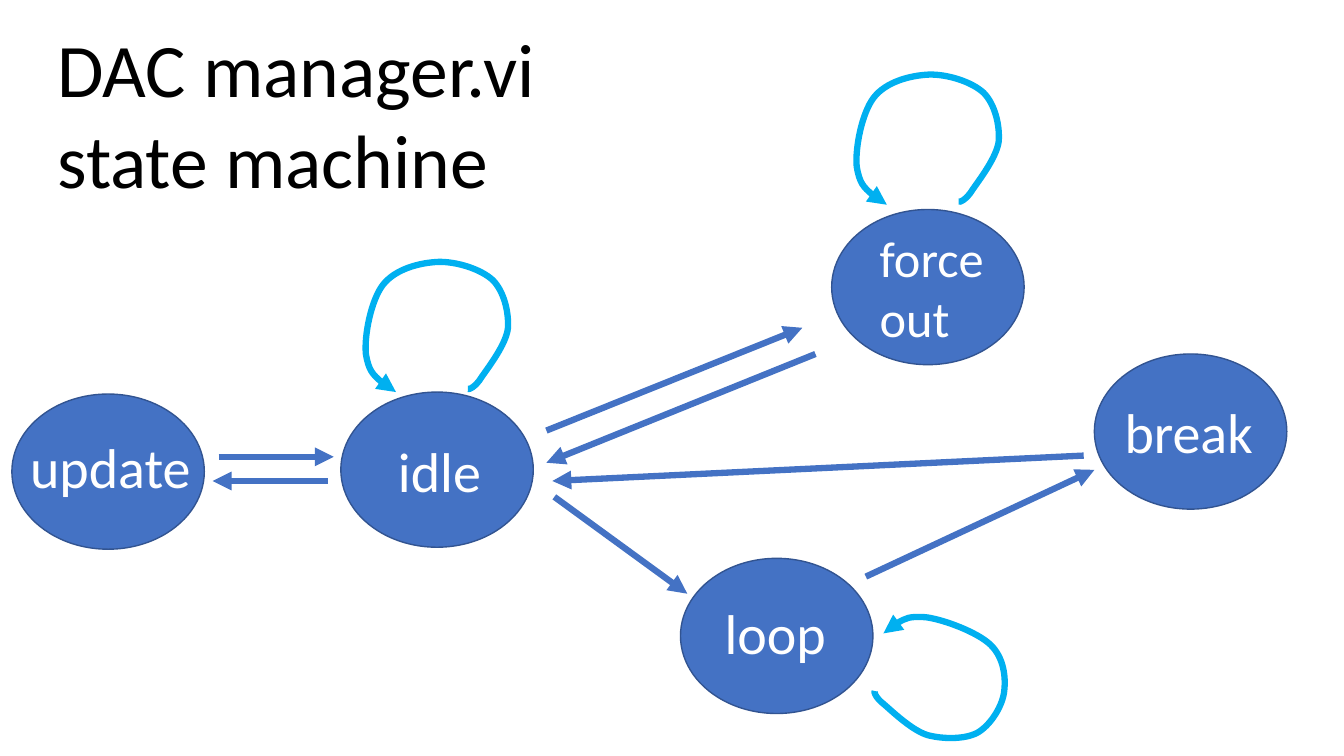
from lxml import etree
from pptx import Presentation
from pptx.dml.color import RGBColor
from pptx.enum.shapes import MSO_CONNECTOR, MSO_SHAPE
from pptx.enum.text import MSO_ANCHOR, MSO_AUTO_SIZE, PP_ALIGN
from pptx.oxml.ns import qn
from pptx.util import Cm, Pt

OVAL = MSO_SHAPE.OVAL
STRAIGHT = MSO_CONNECTOR.STRAIGHT
LEFT, TOP = PP_ALIGN.LEFT, MSO_ANCHOR.TOP
NO_FIT, GROW = MSO_AUTO_SIZE.NONE, MSO_AUTO_SIZE.SHAPE_TO_FIT_TEXT
BLUE, OUTLINE, CYAN = "4472C4", "325491", "00B0F0"


def style_text(tf, size, color):
    for p in tf.paragraphs:
        p.alignment = LEFT
        for r in p.runs:
            r.font.size = Pt(size)
            r.font.name = "Calibri"
            r.font.color.rgb = RGBColor.from_string(color)


def style_arrow(s, color):
    s.line.color.rgb = RGBColor.from_string(color)
    s.line.width = Pt(4.5)
    ln = s.line._get_or_add_ln()
    etree.SubElement(ln, qn("a:tailEnd"), type="triangle")


prs = Presentation()
prs.slide_width, prs.slide_height = Cm(33.87), Cm(19.05)
slide = prs.slides.add_slide(prs.slide_layouts[5])

# Title
title = slide.shapes.title
title.left, title.top = Cm(1.19), Cm(0.43)
title.width, title.height = Cm(30.61), Cm(4.88)
tf = title.text_frame
tf.text = "DAC manager.vi\nstate machine"
tf.auto_size = NO_FIT
tf.vertical_anchor = TOP
style_text(tf, 54, "000000")

# States: name, oval left and top, label left, top, width, height, text size
states = [
    ("idle", 8.59, 9.88, 9.78, 10.87, 3.38, 1.96, 40),
    ("force out", 20.96, 5.28, 21.92, 5.59, 4.8, 3.33, 36),
    ("loop", 17.15, 14.07, 18.01, 14.96, 3.38, 1.96, 40),
    ("break", 27.58, 8.92, 28.09, 9.88, 3.89, 1.96, 40),
    ("update", 0.3, 9.93, 0.51, 10.77, 4.85, 1.96, 40),
]
for name, x, y, label_x, label_y, width, height, size in states:
    s = slide.shapes.add_shape(OVAL, Cm(x), Cm(y), Cm(4.85), Cm(3.91))
    s.shadow.inherit = False
    s.fill.solid()
    s.fill.fore_color.rgb = RGBColor.from_string(BLUE)
    s.line.color.rgb = RGBColor.from_string(OUTLINE)
    s.line.width = Pt(1)
    label = slide.shapes.add_textbox(
        Cm(label_x), Cm(label_y), Cm(width), Cm(height))
    tf = label.text_frame
    tf.text = name
    tf.word_wrap = True
    tf.auto_size = GROW
    style_text(tf, size, "FFFFFF")

# Transitions between states: x1, y1, x2, y2
transitions = [
    (13.77, 10.85, 20.22, 8.26),   # idle to force out
    (20.55, 8.92, 13.77, 11.66),   # force out to idle
    (13.97, 12.52, 17.32, 14.96),  # idle to loop
    (21.82, 14.53, 27.58, 11.84),  # loop to break
    (27.31, 11.48, 13.92, 12.12),  # break to idle
    (5.51, 11.51, 8.41, 11.51),    # update to idle
    (8.26, 12.12, 5.36, 12.12),    # idle to update
]
for ends in transitions:
    s = slide.shapes.add_connector(STRAIGHT, *[Cm(v) for v in ends])
    style_arrow(s, BLUE)
    etree.SubElement(s._element.spPr, qn("a:effectLst"))

# Self-loop outline in hundredths of a cm: start, then Bezier curves
loop_start = (257, 320)
loop_curves = [
    ((259, 323), (277, 315), (292, 290)),
    ((310, 264), (353, 208), (358, 168)),
    ((361, 127), (348, 74), (320, 46)),
    ((290, 18), (229, -1), (183, 0)),
    ((135, 2), (74, 18), (43, 58)),
    ((13, 97), (-4, 185), (0, 231)),
    ((7, 274), (30, 302), (76, 328)),
]

# Self-loops: left, top, width, rotation
self_loops = [
    (9.22, 6.6, 3.58, 0),          # idle
    (21.59, 1.88, 3.58, 0),        # force out
    (22.25, 15.47, 2.9, 101.7),    # loop
]
for x, y, width, angle in self_loops:
    builder = slide.shapes.build_freeform(*loop_start, scale=Cm(0.01))
    builder.add_line_segments([c[-1] for c in loop_curves], close=False)
    s = builder.convert_to_shape()
    # Turn each straight segment into its curve
    segments = list(s._element.spPr.iter(qn("a:lnTo")))
    for segment, curve in zip(segments, loop_curves):
        bezier = etree.Element(qn("a:cubicBezTo"))
        for px, py in curve:
            etree.SubElement(bezier, qn("a:pt"), x=str(px), y=str(py))
        segment.getparent().replace(segment, bezier)
    s.left, s.top, s.width, s.height = Cm(x), Cm(y), Cm(width), Cm(3.28)
    s.rotation = angle
    s.shadow.inherit = False
    s.fill.background()
    style_arrow(s, CYAN)

prs.save("out.pptx")
